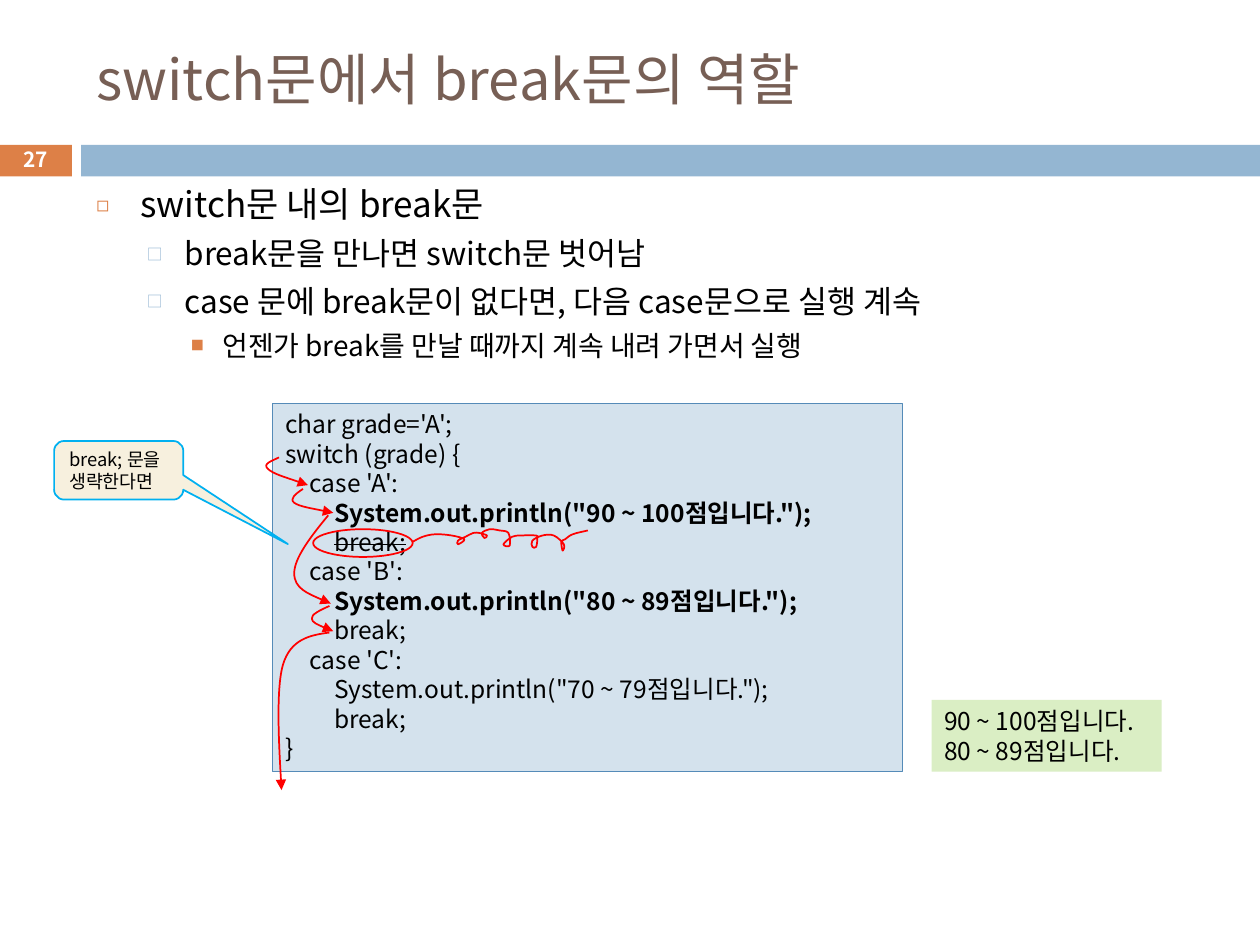
from lxml import etree
from pptx import Presentation
from pptx.dml.color import RGBColor
from pptx.enum.shapes import MSO_SHAPE
from pptx.enum.text import MSO_ANCHOR, MSO_AUTO_SIZE, PP_ALIGN
from pptx.oxml.ns import qn
from pptx.util import Inches, Pt

RECT, OVAL = MSO_SHAPE.RECTANGLE, MSO_SHAPE.OVAL
CALLOUT = MSO_SHAPE.ROUNDED_RECTANGULAR_CALLOUT
TOP, MIDDLE = MSO_ANCHOR.TOP, MSO_ANCHOR.MIDDLE
LEFT, CENTER = PP_ALIGN.LEFT, PP_ALIGN.CENTER
FIXED = MSO_AUTO_SIZE.NONE

# Grid of 100 columns by 75 rows
COLS, ROWS = 100, 75
CELL = Inches(0.1)
FONT = "Noto Sans CJK KR"
LEADING = 1.2
ORANGE, BLUE, RED, BLACK = "DD8047", "94B6D2", "FF0000", "000000"


def grid(*cells):
    return [round(c * CELL) for c in cells]


def rgb(color):
    return RGBColor.from_string(color)


def sub(parent, tag, **attrs):
    el = etree.SubElement(parent, qn(tag))
    for name, value in attrs.items():
        el.set(name, str(value))
    return el


def paint(sp, fill=None, line=None, width=1):
    sp.shadow.inherit = False
    if fill:
        sp.fill.solid()
        sp.fill.fore_color.rgb = rgb(fill)
    else:
        sp.fill.background()
    if line:
        sp.line.color.rgb = rgb(line)
        sp.line.width = Pt(width)
    else:
        sp.line.fill.background()
    return sp


def add_box(s, kind, box, fill=None, line=None, width=1):
    return paint(s.shapes.add_shape(kind, *grid(*box)), fill, line, width)


def frame(sp, anchor=TOP):
    tf = sp.text_frame
    tf.word_wrap = True
    tf.auto_size = FIXED
    tf.vertical_anchor = anchor
    return tf


def add_run(p, text, size, color=BLACK, bold=False, strike=False, kerned=True):
    r = p.add_run()
    r.text = text
    r.font.size, r.font.name, r.font.bold = Pt(size), FONT, bold
    r.font.color.rgb = rgb(color)
    rPr = r.font._element
    sub(rPr, "a:ea", typeface=FONT)
    if strike:
        rPr.set("strike", "sngStrike")
    if not kerned:
        rPr.set("kern", "0")


def write_lines(tf, lines, size):
    """Each line is a list of (text, style) runs."""
    for i, runs in enumerate(lines):
        p = tf.add_paragraph() if i else tf.paragraphs[0]
        p.alignment = LEFT
        p.line_spacing = Pt(size * LEADING)
        for text, style in runs:
            add_run(p, text, size, **style)
        yield p


def smooth(knots):
    """Control points of a curve running through all knots."""
    ends = [knots[0], *knots, knots[-1]]
    points = [knots[0]]
    for a, b, c, d in zip(ends, ends[1:], ends[2:], ends[3:]):
        points += [(b[0] + (c[0] - a[0]) / 6, b[1] + (c[1] - a[1]) / 6),
                   (c[0] - (d[0] - b[0]) / 6, c[1] - (d[1] - b[1]) / 6), c]
    return points


def add_curve(s, x, y, points, arrow=False):
    """Joined cubic curves: a start, then three points per curve."""
    start, *rest = [grid(x + px, y + py) for px, py in points]
    fb = s.shapes.build_freeform(*start, scale=1.0)
    fb.add_line_segments(rest, close=False)
    sp = paint(fb.convert_to_shape(), line=RED)
    # Every three straight segments become one cubic
    outline = next(sp._element.iter(qn("a:path")))
    segments = outline.findall(qn("a:lnTo"))
    for i in range(0, len(segments), 3):
        cubic = sub(outline, "a:cubicBezTo")
        for segment in segments[i:i + 3]:
            cubic.append(segment[0])
            outline.remove(segment)
    if arrow:
        sub(sp.line._get_or_add_ln(), "a:tailEnd", type="triangle")


def header(s, x, y, w, h):
    # Title
    title = s.shapes.title
    title.left, title.top, title.width, title.height = grid(x + 6.65, y + 2.5, 89.2, 7.4)
    p = frame(title, MIDDLE).paragraphs[0]
    p.alignment = LEFT
    add_run(p, "switch문에서 break문의 역할", 32, "775F55", kerned=False)
    # Band with the page number
    band = y + h - 2.5
    add_box(s, RECT, (x + 6.45, band, w - 6.45, 2.5), BLUE)
    number = add_box(s, RECT, (x - 0.1, band, 5.8, 2.5), ORANGE)
    tf = frame(number, MIDDLE)
    tf.margin_top, tf.margin_bottom = 0, Inches(0.02)
    p = tf.paragraphs[0]
    p.alignment = CENTER
    add_run(p, "27", 11.9, "FFFFFF", bold=True)


def bullet_list(s, x, y, w, h):
    # Per level: size, space before, margin, hang, mark, colour, mark size
    levels = [(20, 0, 3.5, 3.5, "◻", ORANGE, 60),
              (18, 5.5, 7, 3, "□", BLUE, 50),
              (16, 5, 10, 2.5, "■", ORANGE, 47)]
    items = [(0, "switch문 내의 break문"),
             (1, "break문을 만나면 switch문 벗어남"),
             (1, "case 문에 break문이 없다면, 다음 case문으로 실행 계속"),
             (2, "언젠가 break를 만날 때까지 계속 내려 가면서 실행")]
    body = s.placeholders[1]
    body.left, body.top, body.width, body.height = grid(x, y, w, h)
    tf = frame(body)
    tf.margin_top = Inches(0.04)
    for i, (level, text) in enumerate(items):
        size, before, margin, hang, mark, color, scale = levels[level]
        p = tf.add_paragraph() if i else tf.paragraphs[0]
        p.level, p.alignment = level, LEFT
        p.space_before, p.line_spacing = Pt(before), Pt(size * LEADING)
        pPr = p._p.get_or_add_pPr()
        pPr.set("marL", str(grid(margin)[0]))
        pPr.set("indent", str(grid(-hang)[0]))
        sub(sub(pPr, "a:buClr"), "a:srgbClr", val=color)
        sub(pPr, "a:buSzPct", val=scale * 1000)
        sub(pPr, "a:buFont", typeface=FONT)
        sub(pPr, "a:buChar", char=mark)
        add_run(p, text, size, kerned=False)


def code_panel(s, x, y, w, h):
    plain, bold, struck = {}, {"bold": True}, {"strike": True}
    code = [[("char grade='A';", plain)],
            [("switch (grade) {", plain)],
            [("\tcase 'A': ", plain)],
            [("\t\t", plain), ('System.out.println("90 ~ 100점입니다.");', bold)],
            [("\t\t", plain), ("break;", struck)],
            [("\tcase 'B':", plain)],
            [("\t\t", plain), ('System.out.println("80 ~ 89점입니다.");', bold)],
            [("\t\tbreak;", plain)],
            [("\tcase 'C':", plain)],
            [('\t\tSystem.out.println("70 ~ 79점입니다.");', plain)],
            [("\t\tbreak;", plain)],
            [("}", plain)]]
    panel = add_box(s, RECT, (x, y, w, h), "D4E2ED", "558BB8", 0.75)
    for p in write_lines(frame(panel), code, 14):
        tabs = sub(p._p.get_or_add_pPr(), "a:tabLst")
        for stop in grid(1.95, 3.9):
            sub(tabs, "a:tab", pos=stop, algn="l")
    # Ring and scribble at the struck break
    add_box(s, OVAL, (x + 3.2, y + 10, 7.9, 2.2), line=RED)
    scribble = [(0, 1), (0.8, 0.6), (1.8, 0.4), (3.1, 0.5), (4.1, 0.8), (3.6, 1.2), (3.6, 0.9),
                (4.2, 0.6), (4.8, 0.3), (5.3, 0.3), (5.9, 0.5), (5.7, 0.7), (5.5, 0.3), (6.1, 0),
                (6.9, 0.1), (7.6, 0.3), (7.7, 1.3), (7.2, 1.2), (7.9, 0.6), (8.6, 0.5), (9.8, 0.5),
                (9.9, 0.7), (9.8, 1.4), (9.5, 1.4), (9.5, 0.9), (10.3, 0.5), (11.2, 0.5), (12, 1.2),
                (11.9, 1.7), (11.8, 1), (12.1, 0.8), (12.7, 0.4), (13.9, 0.1)]
    add_curve(s, x + 11.1, y + 10, smooth(scribble))
    # Arrows along the flow of control
    flow = [[(0.5, 4.3), (-0.1, 4.6), (-0.8, 4.8), (-0.4, 5.2), (0, 5.6), (1.4, 6), (2.8, 6.5)],
            [(2.4, 6.8), (1.8, 7.2), (1.3, 7.6), (1.7, 7.9), (2.1, 8.2), (3.4, 8.4), (4.8, 8.7)],
            [(4.4, 8.9), (3, 10.6), (1.7, 12.3), (1.7, 13.5), (1.7, 14.7), (3.2, 15.3), (4.6, 15.9)],
            [(4.5, 16.1), (3.8, 16.4), (3, 16.8), (3.1, 17.1), (3.1, 17.4), (4, 17.8), (4.8, 18.1)],
            [(4.5, 18.2), (3, 18.4), (1.4, 18.7), (0.8, 20.8), (0.2, 22.9), (0.7, 30.7), (0.7, 30.7)]]
    for points in flow:
        add_curve(s, x, y, points, arrow=True)


def note(s, kind, box, lines, size, fill, line=None, anchor=TOP):
    sp = add_box(s, kind, box, fill, line)
    list(write_lines(frame(sp, anchor), [[(text, {})] for text in lines], size))
    return sp


prs = Presentation()
prs.slide_width, prs.slide_height = grid(COLS, ROWS)
s = prs.slides.add_slide(prs.slide_layouts[1])
header(s, 0, 0, COLS, 14)
bullet_list(s, 6.65, 14.1, 89.2, 21.9)
code_panel(s, 21.65, 32, 50, 29.25)
note(s, RECT, (73.95, 55.55, 18.25, 5.7), ["90 ~ 100점입니다.", "80 ~ 89점입니다."], 14, "DAEEC4")
callout = note(s, CALLOUT, (4.3, 35, 10.25, 4.65), ["break; 문을 ", "생략한다면"], 10.5,
               "F7F0DE", "00B0F0", MIDDLE)
for i, value in enumerate((1.31, 1.26, 0.17)):
    callout.adjustments[i] = value
prs.save("out.pptx")
